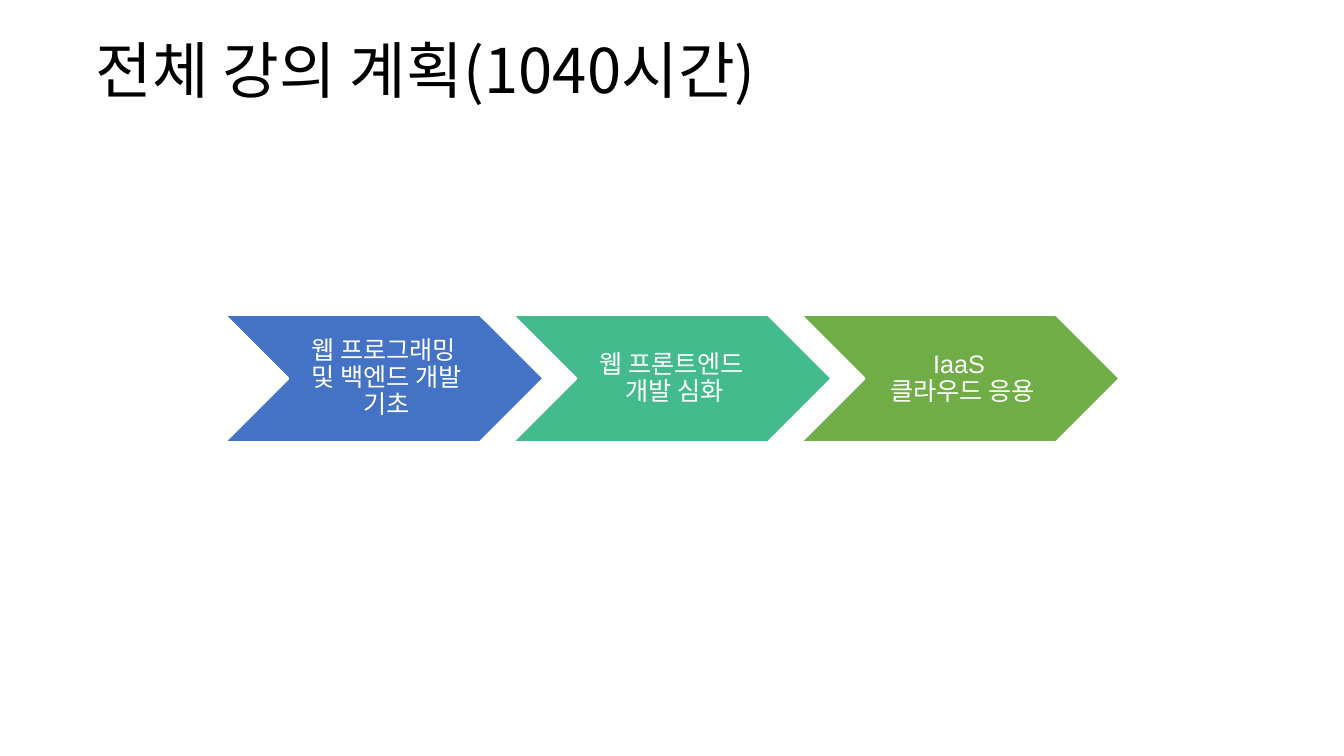
from pptx import Presentation
from pptx.dml.color import RGBColor
from pptx.enum.shapes import MSO_SHAPE as Preset
from pptx.enum.text import MSO_ANCHOR as Anchor, PP_ALIGN as Align
from pptx.oxml.ns import qn
from pptx.util import Inches, Pt

KOREAN_FONT = "Noto Sans CJK KR"
WHITE = "FFFFFF"
COURSES = [
    ("웹 프로그래밍 \v및 백엔드 개발 기초", "4472C4"),
    ("웹 프론트엔드 \v개발 심화", "43BB8D"),
    ("IaaS \v클라우드 응용", "70AD47"),
]
TITLE_FORMAT = {"size": 44, "font": KOREAN_FONT, "color": "000000",
                "align": Align.LEFT, "margins": (0.1, 0.05, 0.1, 0.05)}
COURSE_FORMAT = {"size": 18, "font": "Arial", "color": WHITE,
                 "align": Align.CENTER, "margins": (0.08, 0.03, 0.03, 0.03)}


def rgb(hex_color):
    return RGBColor.from_string(hex_color)


def write_text(frame, text, style):
    """Fill a frame with one paragraph; a vertical tab breaks the line."""
    left, top, right, bottom = (Inches(m) for m in style["margins"])
    frame_format = {"word_wrap": True, "vertical_anchor": Anchor.MIDDLE,
                    "margin_left": left, "margin_top": top,
                    "margin_right": right, "margin_bottom": bottom}
    for attribute, value in frame_format.items():
        setattr(frame, attribute, value)

    paragraph = frame.paragraphs[0]
    paragraph.text = text
    paragraph.alignment = style["align"]
    paragraph.line_spacing = 0.9
    for run in paragraph.runs:
        run.font.size = Pt(style["size"])
        run.font.name = style["font"]
        run.font.color.rgb = rgb(style["color"])
        east_asian = run.font._element.makeelement(
            qn("a:ea"), {"typeface": KOREAN_FONT})
        run.font._element.find(qn("a:latin")).addnext(east_asian)


def add_title(slide, left, top, width, height):
    title = slide.shapes.add_textbox(
        Inches(left), Inches(top), Inches(width), Inches(height))
    write_text(title.text_frame, "전체 강의 계획(1040시간)", TITLE_FORMAT)


def add_course_steps(slide, left, top, width, height):
    """Row of chevrons, each overlapping the next by a tenth of its width."""
    overlap = 0.1
    step_width = width / (len(COURSES) - overlap * (len(COURSES) - 1))
    pitch = step_width * (1 - overlap)
    for index, (course, color) in enumerate(COURSES):
        step = slide.shapes.add_shape(
            Preset.CHEVRON, Inches(left + index * pitch), Inches(top),
            Inches(step_width), Inches(height))
        step.shadow.inherit = False
        step.fill.solid()
        step.fill.fore_color.rgb = rgb(color)
        step.line.color.rgb = rgb(WHITE)
        step.line.width = Pt(2)
        write_text(step.text_frame, course, COURSE_FORMAT)


def main():
    presentation = Presentation()
    presentation.slide_width = Inches(13.33)
    presentation.slide_height = Inches(7.5)
    slide = presentation.slides.add_slide(presentation.slide_layouts[6])
    add_title(slide, 0.85, 0, 11.5, 1.45)
    add_course_steps(slide, 2.22, 3.12, 8.89, 1.27)
    presentation.save("out.pptx")


if __name__ == "__main__":
    main()
